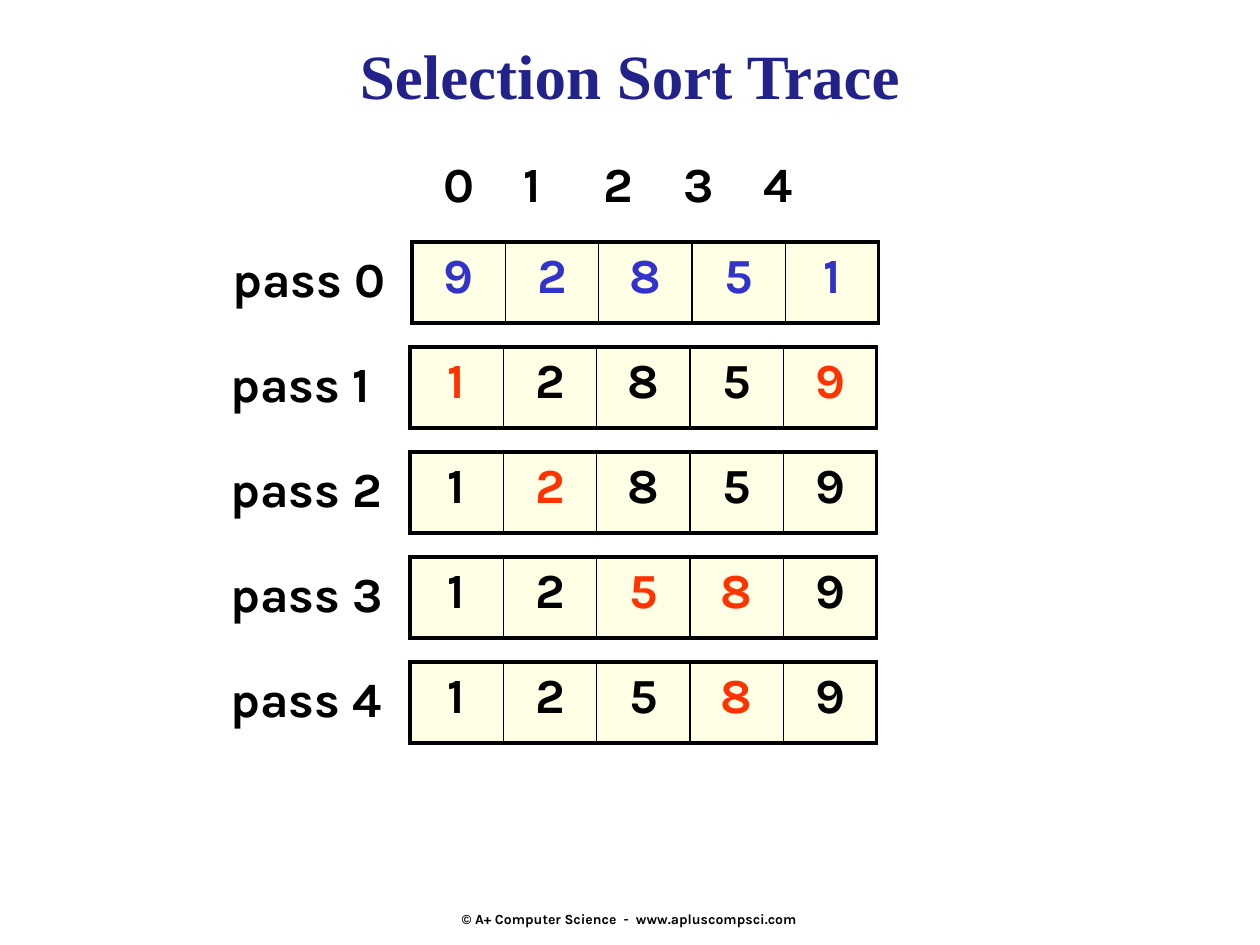
from dataclasses import dataclass

from lxml.etree import SubElement
from pptx import Presentation
from pptx.dml.color import RGBColor
from pptx.enum.text import MSO_ANCHOR as Anchor, MSO_AUTO_SIZE as AutoSize, PP_ALIGN as Align
from pptx.oxml.ns import qn
from pptx.util import Emu, Pt

# Content
TITLE = "Selection Sort Trace"
INDEXES = ["0", "1", "2", "3", "4"]
PASSES = [  # label, values, highlighted columns
    ("pass 0", [9, 2, 8, 5, 1], []),
    ("pass 1", [1, 2, 8, 5, 9], [0, 4]),
    ("pass 2", [1, 2, 8, 5, 9], [1]),
    ("pass 3", [1, 2, 5, 8, 9], [2, 3]),
    ("pass 4", [1, 2, 5, 8, 9], [3]),
]
FOOTER = "© A+ Computer Science  -  www.apluscompsci.com"


@dataclass(frozen=True)
class Theme:
    title_font: str = "Times New Roman"
    body_font: str = "Karla"
    title: str = "22228B"
    text: str = "000000"
    start: str = "3333CC"
    swapped: str = "FF3300"
    cell: str = "FFFFCC"
    border: str = "000000"
    title_size: float = 36
    body_size: float = 28
    footer_size: float = 8
    outer_line: float = 2.25
    inner_line: float = 1


THEME = Theme()

# Layout in px
FIRST_ROW, ROW_STEP = 242, 105
LABEL_LEFT, TABLE_LEFT, START_SHIFT = 218, 410, 2
TABLE_WIDTH, TABLE_HEIGHT = 467, 81
INDEX_STEP = 80


def px(value):
    return Emu(round(value * 914400 / 126))


def style(para, size, color=THEME.text, name=THEME.body_font):
    font = para.font
    font.name, font.size, font.bold = name, Pt(size), True
    font.color.rgb = RGBColor.from_string(color)


def place(shape, left, top, width, height):
    shape.left, shape.top, shape.width, shape.height = map(px, (left, top, width, height))


def add_text(page, text, bounds, size, wrap=False):
    box = page.shapes.add_textbox(*map(px, bounds))
    box.text_frame.word_wrap = wrap
    box.text_frame.text = text
    style(box.text_frame.paragraphs[0], size)
    return box.text_frame


def add_tabs(para, stops):
    tabs = SubElement(para._p.get_or_add_pPr(), qn("a:tabLst"))
    for stop in stops:
        SubElement(tabs, qn("a:tab"), pos=str(px(stop)), algn="l")


def format_cell(cell, is_first, is_last):
    props = cell._tc.get_or_add_tcPr()
    outer, inner = THEME.outer_line, THEME.inner_line
    widths = {"lnL": outer if is_first else inner, "lnR": outer if is_last else inner,
              "lnT": outer, "lnB": outer}
    for side, width in widths.items():
        line = SubElement(props, qn(f"a:{side}"), w=str(Pt(width)))
        SubElement(SubElement(line, qn("a:solidFill")), qn("a:srgbClr"), val=THEME.border)
    cell.fill.solid()
    cell.fill.fore_color.rgb = RGBColor.from_string(THEME.cell)
    color = props.find(qn("a:solidFill")).find(qn("a:srgbClr"))
    SubElement(color, qn("a:alpha"), val="50000")


def add_pass(page, row, label, values, highlighted):
    top = FIRST_ROW + row * ROW_STEP
    shift = START_SHIFT if row == 0 else 0
    frame = add_text(page, label, (LABEL_LEFT + shift, top, 181, 72), THEME.body_size)
    frame.auto_size = AutoSize.SHAPE_TO_FIT_TEXT

    bounds = (TABLE_LEFT + shift, top, TABLE_WIDTH, TABLE_HEIGHT)
    table = page.shapes.add_table(1, len(values), *map(px, bounds)).table
    table.first_row = table.horz_banding = False
    base = THEME.start if row == 0 else THEME.text
    for column, value in enumerate(values):
        cell = table.cell(0, column)
        cell.text = str(value)
        para = cell.text_frame.paragraphs[0]
        para.alignment = Align.CENTER
        style(para, THEME.body_size, THEME.swapped if column in highlighted else base)
        format_cell(cell, column == 0, column == len(values) - 1)


def main():
    deck = Presentation()
    deck.slide_width, deck.slide_height = px(1260), px(945)
    page = deck.slides.add_slide(deck.slide_layouts[5])

    # Title
    title = page.shapes.title
    place(title, 21, 32, 1218, 84)
    title.text_frame.text = TITLE
    title.text_frame.vertical_anchor = Anchor.MIDDLE
    heading = title.text_frame.paragraphs[0]
    heading.alignment = Align.CENTER
    style(heading, THEME.title_size, THEME.title, THEME.title_font)

    # Index header
    header = add_text(page, "", (431, 147, 431, 72), THEME.body_size, wrap=True)
    para = header.paragraphs[0]
    para._p.remove(para._p.pPr)
    add_tabs(para, [INDEX_STEP * i for i in range(1, len(INDEXES))])
    para.add_run().text = "\t".join(INDEXES)
    style(para, THEME.body_size)

    # Passes
    for row, (label, values, highlighted) in enumerate(PASSES):
        add_pass(page, row, label, values, highlighted)

    # Footer
    footer = add_text(page, FOOTER, (430, 864, 399, 63), THEME.footer_size)
    footer.vertical_anchor = Anchor.BOTTOM
    footer.margin_bottom = 0
    footer.paragraphs[0].alignment = Align.CENTER

    deck.save("out.pptx")


if __name__ == "__main__":
    main()
